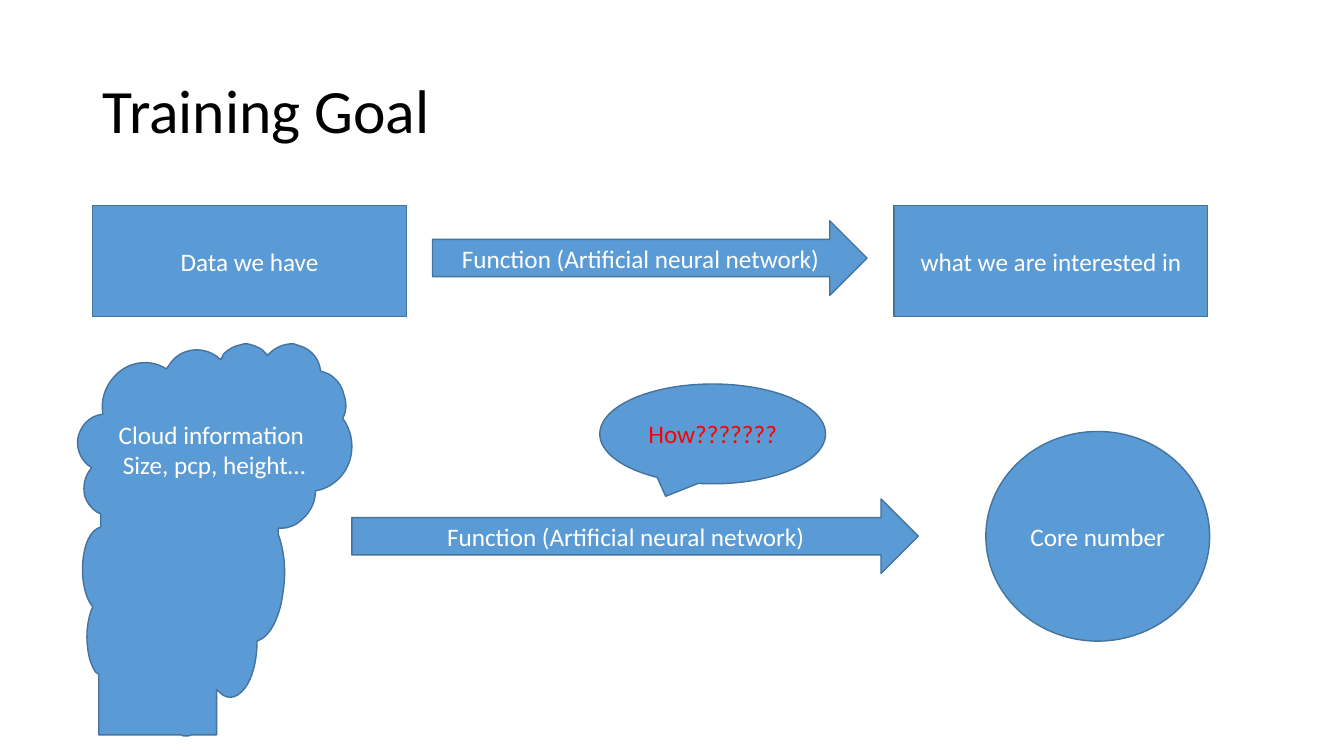
from dataclasses import dataclass

from lxml import etree
from pptx import Presentation
from pptx import util as u
from pptx.dml.color import RGBColor
from pptx.enum import shapes, text
from pptx.oxml.ns import qn

WIDTH, HEIGHT = u.Inches(13.333), u.Inches(7.5)
CELL = u.Inches(0.01)  # grid cell of the cloud outline
FONT = "Calibri"
BLUE, EDGE, WHITE, RED, BLACK = "5B9BD5", "43739E", "FFFFFF", "FF0000", "000000"
KIND = shapes.MSO_SHAPE
NETWORK = "Function (Artificial neural network)"


@dataclass(frozen=True)
class Area:
    """Position and size in percent of the slide."""
    left: float
    top: float
    width: float
    height: float

    def emu(self) -> tuple[int, int, int, int]:
        return (round(self.left * WIDTH / 100), round(self.top * HEIGHT / 100),
                round(self.width * WIDTH / 100), round(self.height * HEIGHT / 100))


@dataclass(frozen=True)
class Step:
    label: str
    kind: KIND
    area: Area
    color: str = WHITE


TITLE_AREA = Area(6.9, 5.33, 86.25, 19.33)
CASE_STEPS = [
    Step(NETWORK, KIND.RIGHT_ARROW, Area(26.18, 66, 42.15, 9.87)),
    Step("Core number", KIND.OVAL, Area(73.35, 57.07, 16.65, 27.73)),
]
GOAL_STEPS = [
    Step("How???????", KIND.OVAL_CALLOUT, Area(44.63, 50.8, 16.8, 13.2), RED),
    Step("Data we have", KIND.RECTANGLE, Area(6.9, 27.2, 23.33, 14.67)),
    Step("what we are interested in", KIND.RECTANGLE, Area(66.53, 27.2, 23.33, 14.67)),
    Step(NETWORK, KIND.RIGHT_ARROW, Area(32.18, 29.2, 32.33, 9.87)),
]

# In grid cells: two numbers are a corner, six are a Bézier curve
CLOUD_START = (245, 341)
CLOUD_OUTLINE = [
    (250, 342, 256, 344, 260, 347), (265, 352), (265, 353),
    (272, 345, 281, 341, 291, 341), (294, 342, 297, 343, 300, 344),
    (310, 348, 317, 357, 318, 368), (318, 368), (326, 371),
    (333, 375, 339, 382, 341, 391), (344, 399, 344, 408, 340, 415),
    (348, 426, 351, 440, 348, 453), (344, 471, 330, 484, 313, 487),
    (313, 498, 308, 508, 300, 515), (294, 521, 287, 524, 279, 524),
    (276, 524), (276, 530),
    (282, 546, 284, 567, 281, 586), (278, 612, 268, 632, 255, 636),
    (255, 652, 252, 667, 246, 678), (238, 692, 227, 696, 218, 687),
    (215, 684), (215, 729), (190, 729), (187, 730),
    (185, 730, 184, 730, 182, 730), (179, 729), (98, 729), (98, 669), (95, 667),
    (91, 661, 88, 653, 87, 643), (85, 629, 87, 613, 92, 602),
    (85, 594, 81, 577, 82, 560), (83, 540, 90, 525, 100, 523),
    (100, 523, 100, 522, 100, 522), (100, 510), (96, 508),
    (90, 504, 86, 498, 84, 492), (82, 482, 84, 472, 91, 464),
    (81, 458, 76, 447, 77, 436), (79, 423, 89, 412, 102, 411),
    (102, 411, 102, 410, 102, 410),
    (100, 397, 104, 384, 113, 374), (126, 359, 148, 355, 165, 366), (165, 366),
    (170, 359), (182, 344, 205, 343, 219, 357), (219, 357), (222, 351),
    (227, 346, 233, 343, 239, 342), (241, 341, 243, 341, 245, 341),
]


def rgb(color: str) -> RGBColor:
    return RGBColor.from_string(color)


def set_font(paragraph, size: int, color: str) -> None:
    paragraph.font.name = FONT
    paragraph.font.size = u.Pt(size)
    paragraph.font.color.rgb = rgb(color)


def style(shape, label: str, color: str) -> None:
    shape.shadow.inherit = False
    shape.fill.solid()
    shape.fill.fore_color.rgb = rgb(BLUE)
    shape.line.color.rgb = rgb(EDGE)
    shape.line.width = u.Pt(1)
    frame = shape.text_frame
    frame.word_wrap = True
    frame.vertical_anchor = text.MSO_ANCHOR.MIDDLE
    frame.text = label
    for paragraph in frame.paragraphs:
        paragraph.alignment = text.PP_ALIGN.CENTER
        set_font(paragraph, 18, color)


def add_title(slide, label: str) -> None:
    title = slide.shapes.title
    title.left, title.top, title.width, title.height = TITLE_AREA.emu()
    title.text_frame.text = label
    title.text_frame.vertical_anchor = text.MSO_ANCHOR.MIDDLE
    paragraph = title.text_frame.paragraphs[0]
    paragraph.alignment = text.PP_ALIGN.LEFT
    paragraph.line_spacing = 0.9
    set_font(paragraph, 44, BLACK)


def add_steps(slide, steps: list[Step]) -> None:
    for step in steps:
        style(slide.shapes.add_shape(step.kind, *step.area.emu()), step.label, step.color)


def add_outline(slide, start: tuple, outline: list[tuple]):
    """Draw a closed outline, bending its six-number segments into Bézier curves."""
    ends = [segment[-2:] for segment in outline]
    builder = slide.shapes.build_freeform(*start, scale=CELL)
    builder.add_line_segments(ends, close=True)
    shape = builder.convert_to_shape()
    left, top = (min(values) for values in zip(start, *ends))
    for line, segment in zip(shape.element.xpath(".//a:lnTo"), outline):
        if len(segment) == 6:
            line.tag = qn("a:cubicBezTo")
            for child in list(line):
                line.remove(child)
            for x, y in zip(segment[::2], segment[1::2]):
                etree.SubElement(line, qn("a:pt"), x=str(x - left), y=str(y - top))
    return shape


def add_cloud(slide, label: str) -> None:
    cloud = add_outline(slide, CLOUD_START, CLOUD_OUTLINE)
    style(cloud, label, WHITE)
    cloud.text_frame.vertical_anchor = text.MSO_ANCHOR.TOP
    cloud.text_frame.margin_top = u.Inches(0.75)


def main() -> None:
    deck = Presentation()
    deck.slide_width, deck.slide_height = WIDTH, HEIGHT
    slide = deck.slides.add_slide(deck.slide_layouts[5])
    add_title(slide, "Training Goal")
    add_steps(slide, CASE_STEPS)
    add_cloud(slide, "Cloud information \nSize, pcp, height…")
    add_steps(slide, GOAL_STEPS)
    deck.save("out.pptx")


if __name__ == "__main__":
    main()
